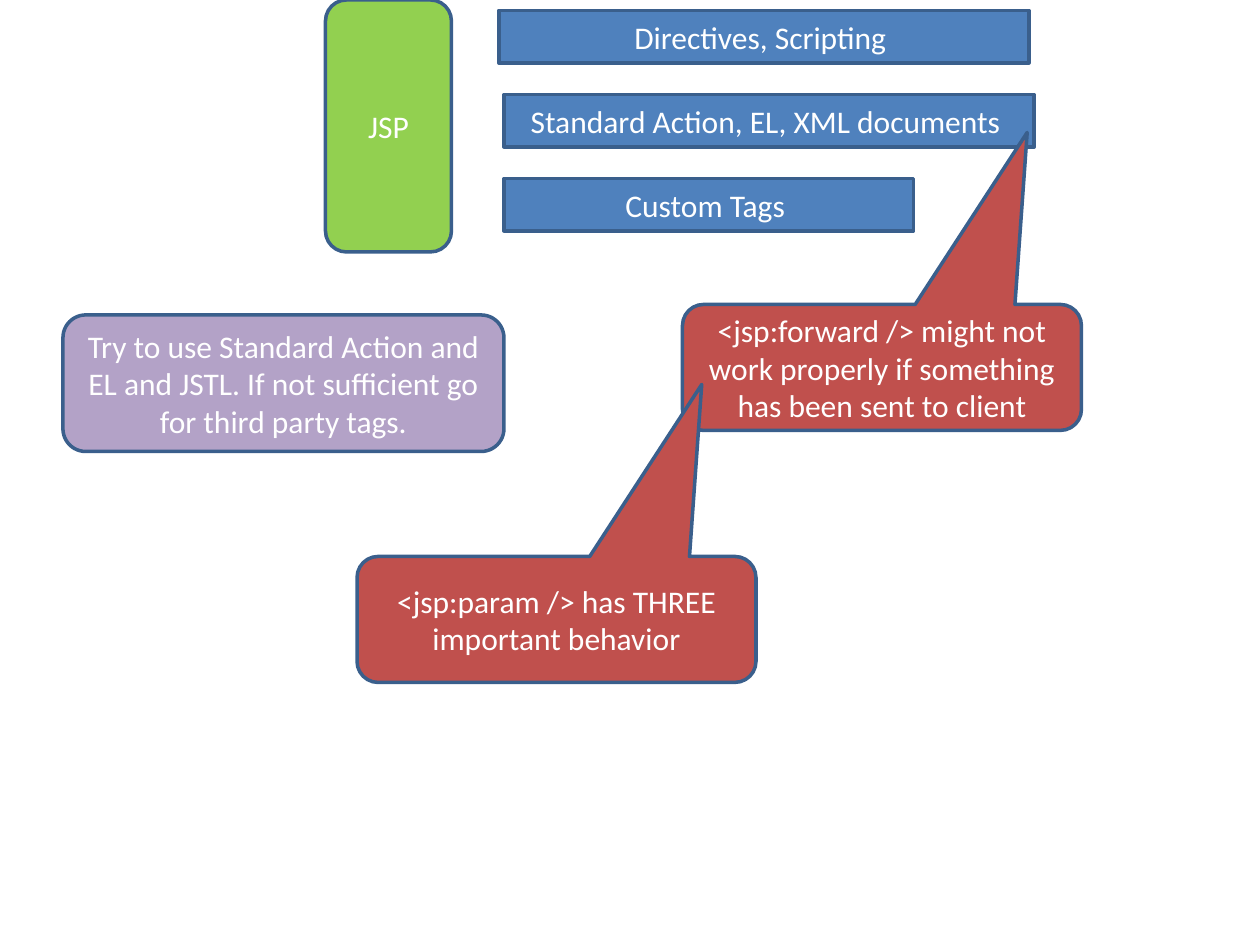
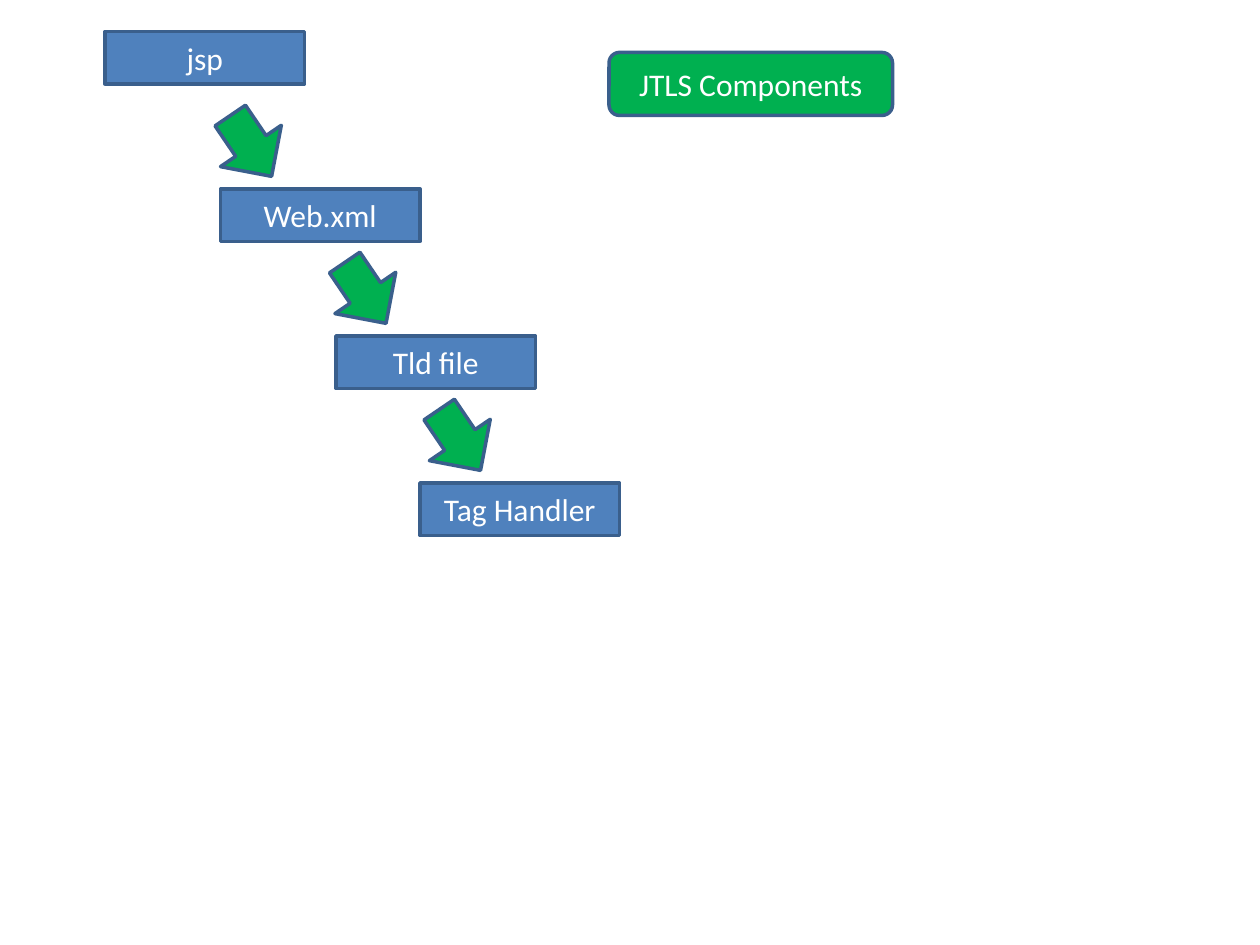
import pptx
import pptx.dml.color
import pptx.enum.shapes
import pptx.enum.text
import pptx.util

SHAPES = pptx.enum.shapes.MSO_SHAPE
SLIDE_WIDTH, SLIDE_HEIGHT = 10, 7.5
UNITS_PER_INCH = 12

THEME = {
    "font": "Calibri", "size": 18, "line_width": 2,
    "text": "FFFFFF", "outline": "3A5F8C", "blue": "4F81BD", "red": "C0504D",
    "lime": "92D050", "green": "00B050", "lilac": "B3A2C7",
}

JSP_BLOCK = ("JSP", (31, 0, 12, 24))
FEATURES = [
    ("Directives, Scripting ", 47.5, 50.5),
    ("Standard Action, EL, XML documents ", 48, 50.5),
    ("Custom Tags ", 48, 39),
]
FEATURE_TOP, FEATURE_PITCH = 1, 8
WARNINGS = [
    ("<jsp:forward /> might not work properly if something has been sent to client", 65, 29),
    ("<jsp:param /> has THREE important behavior", 34, 53),
]
WARNING_SIZE = (38, 12)
WARNING_POINTER = (0.364, -1.865, 0.167)
ADVICE = (
    "Try to use Standard Action and EL and JSTL. If not sufficient go for third party tags.",
    (6, 30, 42, 13),
)

COMPONENTS_TITLE = ("JTLS Components", (58, 5, 27, 6))
LOOKUP_STEPS = [("jsp", 10, 3), ("Web.xml", 21, 18), ("Tld file", 32, 32), ("Tag Handler", 40, 46)]
STEP_WIDTH = 19
ARROW_COLUMNS = [20.4, 31.3, 40.3]
ARROW_SIZE, ARROW_RISE, ARROW_ROTATION = 7, 7.6, 325.8
BAR_HEIGHT = 5


def color(name):
    return pptx.dml.color.RGBColor.from_string(THEME[name])


def add_box(page, kind, place, fill, text=""):
    lengths = [pptx.util.Inches(units / UNITS_PER_INCH) for units in place]
    box = page.shapes.add_shape(kind, *lengths)
    box.shadow.inherit = False
    box.fill.solid()
    box.fill.fore_color.rgb = color(fill)
    box.line.color.rgb = color("outline")
    box.line.width = pptx.util.Pt(THEME["line_width"])
    if text:
        frame = box.text_frame
        frame.word_wrap = True
        frame.vertical_anchor = pptx.enum.text.MSO_ANCHOR.MIDDLE
        frame.text = text
        para = frame.paragraphs[0]
        para.alignment = pptx.enum.text.PP_ALIGN.CENTER
        span = para.runs[0]
        span.font.name = THEME["font"]
        span.font.size = pptx.util.Pt(THEME["size"])
        span.font.color.rgb = color("text")
    return box


def build_jsp_page(page):
    text, place = JSP_BLOCK
    add_box(page, SHAPES.ROUNDED_RECTANGLE, place, "lime", text)
    for row, (text, left, width) in enumerate(FEATURES):
        top = FEATURE_TOP + row * FEATURE_PITCH
        add_box(page, SHAPES.RECTANGLE, (left, top, width, BAR_HEIGHT), "blue", text)
    for text, left, top in WARNINGS:
        place = (left, top, *WARNING_SIZE)
        callout = add_box(page, SHAPES.ROUNDED_RECTANGULAR_CALLOUT, place, "red", text)
        for index, value in enumerate(WARNING_POINTER):
            callout.adjustments[index] = value
    text, place = ADVICE
    add_box(page, SHAPES.ROUNDED_RECTANGLE, place, "lilac", text)


def build_components_page(page):
    for text, left, top in LOOKUP_STEPS:
        add_box(page, SHAPES.RECTANGLE, (left, top, STEP_WIDTH, BAR_HEIGHT), "blue", text)
    for left, (_, _, next_top) in zip(ARROW_COLUMNS, LOOKUP_STEPS[1:]):
        place = (left, next_top - ARROW_RISE, ARROW_SIZE, ARROW_SIZE)
        arrow = add_box(page, SHAPES.DOWN_ARROW, place, "green")
        arrow.rotation = ARROW_ROTATION
    text, place = COMPONENTS_TITLE
    add_box(page, SHAPES.FLOWCHART_ALTERNATE_PROCESS, place, "green", text)


def main():
    deck = pptx.Presentation()
    deck.slide_width = pptx.util.Inches(SLIDE_WIDTH)
    deck.slide_height = pptx.util.Inches(SLIDE_HEIGHT)
    for build in (build_jsp_page, build_components_page):
        build(deck.slides.add_slide(deck.slide_layouts[6]))
    deck.save("out.pptx")


if __name__ == "__main__":
    main()
